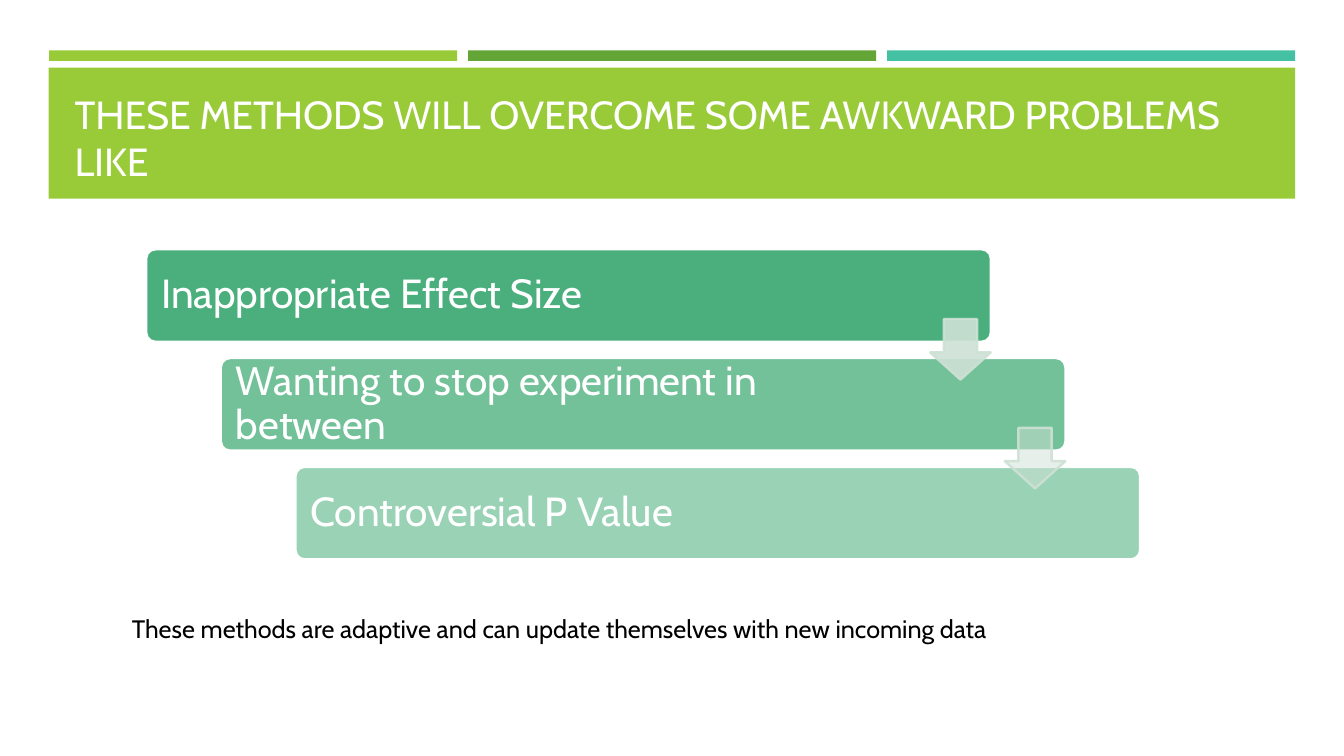
"""Build a slide with three stepped problem cards under a title band."""
from pptx import Presentation
from pptx.dml.color import RGBColor
from pptx.enum.shapes import MSO_SHAPE
from pptx.enum.text import MSO_ANCHOR, MSO_AUTO_SIZE, PP_ALIGN
from pptx.oxml.ns import qn
from pptx.util import Pt
from lxml import etree

RECTANGLE = MSO_SHAPE.RECTANGLE
ROUNDED = MSO_SHAPE.ROUNDED_RECTANGLE
DOWN_ARROW = MSO_SHAPE.DOWN_ARROW
MIDDLE, BOTTOM = MSO_ANCHOR.MIDDLE, MSO_ANCHOR.BOTTOM
LEFT = PP_ALIGN.LEFT
NO_FIT = MSO_AUTO_SIZE.NONE

LIME = RGBColor(0x99, 0xCB, 0x38)
GREEN = RGBColor(0x63, 0xA5, 0x37)
TEAL = RGBColor(0x44, 0xC1, 0xA3)
EMERALD = RGBColor(0x37, 0xA7, 0x6F)
MIST = RGBColor(0xCE, 0xE1, 0xD5)
WHITE = RGBColor(0xFF, 0xFF, 0xFF)
BLACK = RGBColor(0, 0, 0)
FONT = "Cabin"

TITLE = "THESE METHODS WILL OVERCOME SOME AWKWARD PROBLEMS LIKE"
NOTE = "These methods are adaptive and can update themselves with new incoming data"
STRIPES = [LIME, GREEN, TEAL]
PROBLEMS = [
    ("Inappropriate Effect Size", 90, 531.5),
    ("Wanting to stop experiment in between", 70, 503.5),
    ("Controversial P Value", 50, 503.5),
]
ARROW_OPACITIES = [90, 50]

STRIPE_LEFT, STRIPE_STEP = 35, 299
CARD_LEFT, CARD_TOP = 104.4, 178
CARD_WIDTH, CARD_HEIGHT = 603.4, 66.2
STEP_X, STEP_Y = 53.3, 77.7
ARROW_LEFT, ARROW_TOP, ARROW_SIZE = 664.5, 228, 43.2
CARD_INSET, LABEL_MARGIN = 2, 8.7


def set_opacity(fill_parent, percent):
    color = fill_parent.find(qn("a:solidFill"))[0]
    etree.SubElement(color, qn("a:alpha")).set("val", str(percent * 1000))


def add_block(page, kind, left, top, width, height, color, opacity=100, outline=None):
    block = page.shapes.add_shape(kind, Pt(left), Pt(top), Pt(width), Pt(height))
    block.shadow.inherit = False
    block.fill.solid()
    block.fill.fore_color.rgb = color
    if opacity < 100:
        set_opacity(block._element.spPr, opacity)
    if outline is None:
        block.line.fill.background()
    else:
        block.line.color.rgb = outline
        block.line.width = Pt(1.75)
    return block


def write(box, text, size, color, anchor):
    frame = box.text_frame
    frame.text = text
    frame.word_wrap = True
    frame.auto_size = NO_FIT
    frame.vertical_anchor = anchor
    para = frame.paragraphs[0]
    para.alignment = LEFT
    para.font.name = FONT
    para.font.size = Pt(size)
    para.font.color.rgb = color
    return frame


def add_label(page, left, top, width, height, text, size, color, anchor):
    box = page.shapes.add_textbox(Pt(left), Pt(top), Pt(width), Pt(height))
    return write(box, text, size, color, anchor)


def add_header(page):
    for index, color in enumerate(STRIPES):
        left = STRIPE_LEFT + index * (STRIPE_STEP + 0.3)
        add_block(page, RECTANGLE, left, 36, 291.6, 7.5, color)
    add_block(page, RECTANGLE, 34.8, 48.4, 890.4, 93.6, LIME)
    title = page.shapes.title
    title.left, title.top, title.width, title.height = Pt(46.1), Pt(55.4), Pt(868.3), Pt(80)
    write(title, TITLE, 28, WHITE, BOTTOM)
    page.shapes._spTree.append(title._element)


def add_cards(page):
    for index, (text, opacity, label_width) in enumerate(PROBLEMS):
        left, top = CARD_LEFT + index * STEP_X, CARD_TOP + index * STEP_Y
        card = add_block(page, ROUNDED, left, top, CARD_WIDTH, CARD_HEIGHT,
                         EMERALD, opacity, WHITE)
        card.adjustments[0] = 0.1
        frame = add_label(page, left + CARD_INSET, top + CARD_INSET, label_width,
                          CARD_HEIGHT - 2 * CARD_INSET, text, 29, WHITE, MIDDLE)
        frame.margin_left = frame.margin_right = Pt(LABEL_MARGIN)
        frame.margin_top = frame.margin_bottom = Pt(LABEL_MARGIN)
        frame.paragraphs[0].line_spacing = 0.9


def add_arrows(page):
    for index, opacity in enumerate(ARROW_OPACITIES):
        arrow = add_block(page, DOWN_ARROW, ARROW_LEFT + index * STEP_X,
                          ARROW_TOP + index * STEP_Y, ARROW_SIZE, ARROW_SIZE,
                          MIST, opacity, MIST)
        arrow.adjustments[0], arrow.adjustments[1] = 0.55, 0.45
        set_opacity(arrow._element.spPr.find(qn("a:ln")), 90)


def main():
    deck = Presentation()
    deck.slide_width, deck.slide_height = Pt(960), Pt(540)
    page = deck.slides.add_slide(deck.slide_layouts[5])
    add_header(page)
    add_cards(page)
    add_arrows(page)
    add_label(page, 87.1, 434.2, 709.9, 29, NOTE, 18, BLACK, MSO_ANCHOR.TOP)
    deck.save("out.pptx")


if __name__ == "__main__":
    main()
